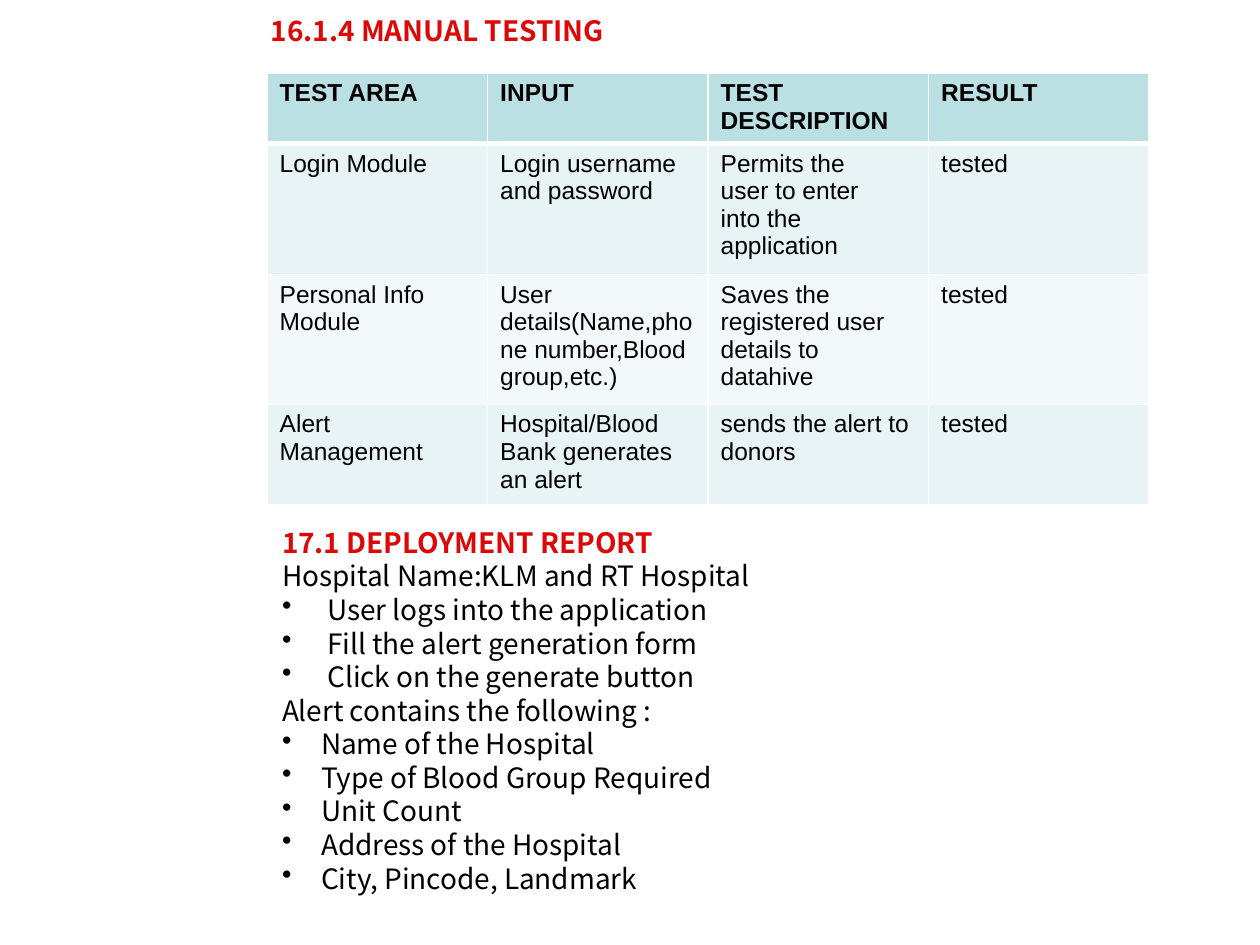
from lxml import etree
from pptx import Presentation
from pptx.dml.color import RGBColor
from pptx.enum import text
from pptx.oxml import ns
from pptx.util import Inches, Pt

RED, BLACK, WHITE = "DC0707", "000000", "FFFFFF"
HEADER_FILL, BAND_FILLS = "BBE0E3", ("E7F3F4", "F3F9FA")


def rgb(value):
    return RGBColor.from_string(value)


def style(p, size, name, color, bold=False):
    p.alignment = text.PP_ALIGN.LEFT
    p.font.size, p.font.name, p.font.bold = Pt(size), name, bold
    p.font.color.rgb = rgb(color)
    if name != "Arial":
        p.line_spacing = Pt(19.2)


prs = Presentation()
prs.slide_width, prs.slide_height = Inches(10), Inches(7.5)
s = prs.slides.add_slide(prs.slide_layouts[5])

# Title
title = s.shapes.title
title.left, title.top = Inches(2.05), Inches(0.06)
title.width, title.height = Inches(7.74), Inches(0.64)
tf = title.text_frame
tf.text = "16.1.4 MANUAL TESTING"
tf.vertical_anchor = text.MSO_ANCHOR.TOP
tf.auto_size = text.MSO_AUTO_SIZE.NONE
style(tf.paragraphs[0], 16, "Noto Sans CJK TC", RED, True)

# Test table
rows = [
    ("TEST AREA", "INPUT", "TEST\nDESCRIPTION", "RESULT"),
    ("Login Module", "Login username\nand password",
     "Permits the\nuser to enter\ninto the\napplication", "tested"),
    ("Personal Info\nModule", "User details(Name,phone number,Blood group,etc.)",
     "Saves the registered user details to datahive", "tested"),
    ("Alert Management", "Hospital/Blood Bank generates an alert",
     "sends the alert to donors", "tested"),
]
heights = (0.56, 1.04, 1.03, 0.8)
table = s.shapes.add_table(len(rows), 4, Inches(2.12), Inches(0.58),
                           Inches(7), Inches(sum(heights))).table
for i, (row, height) in enumerate(zip(rows, heights)):
    table.rows[i].height = Inches(height)
    for j, words in enumerate(row):
        cell = table.cell(i, j)
        cell.text = words
        for p in cell.text_frame.paragraphs:
            style(p, 14, "Arial", BLACK, i == 0)
        # White borders, with a heavier rule under the header
        tcPr = cell._tc.get_or_add_tcPr()
        for side in "LRTB":
            heavy = (i, side) in ((0, "B"), (1, "T"))
            ln = etree.SubElement(tcPr, ns.qn("a:ln" + side),
                                  w=str(Pt(3 if heavy else 1)))
            fill = etree.SubElement(ln, ns.qn("a:solidFill"))
            etree.SubElement(fill, ns.qn("a:srgbClr"), val=WHITE)
        cell.fill.solid()
        cell.fill.fore_color.rgb = rgb(BAND_FILLS[(i - 1) % 2] if i else HEADER_FILL)

# Deployment report: text and bullet indent (0 for a plain line)
report = [
    ("17.1 DEPLOYMENT REPORT", 0),
    ("Hospital Name:KLM and RT Hospital", 0),
    ("User logs into the application", 0.36),
    ("Fill the alert generation form", 0.36),
    ("Click on the generate button", 0.36),
    ("Alert contains the following :", 0),
    ("Name of the Hospital", 0.31),
    ("Type of Blood Group Required", 0.31),
    ("Unit Count", 0.31),
    ("Address of the Hospital", 0.31),
    ("City, Pincode, Landmark", 0.31),
]
tf = s.shapes.add_textbox(Inches(2.14), Inches(4.12), Inches(7.77), Inches(3.3)).text_frame
tf.word_wrap = True
tf.text = "\n".join(line for line, indent in report)
for i, (p, (line, indent)) in enumerate(zip(tf.paragraphs, report)):
    style(p, 16, "Noto Sans CJK TC", BLACK if i else RED, i == 0)
    if indent:
        pPr = p._p.get_or_add_pPr()
        pPr.set("marL", str(Inches(indent)))
        pPr.set("indent", str(-Inches(indent)))
        bullet = etree.Element(ns.qn("a:buChar"), char="•")
        pPr.find(ns.qn("a:defRPr")).addprevious(bullet)

prs.save("out.pptx")
